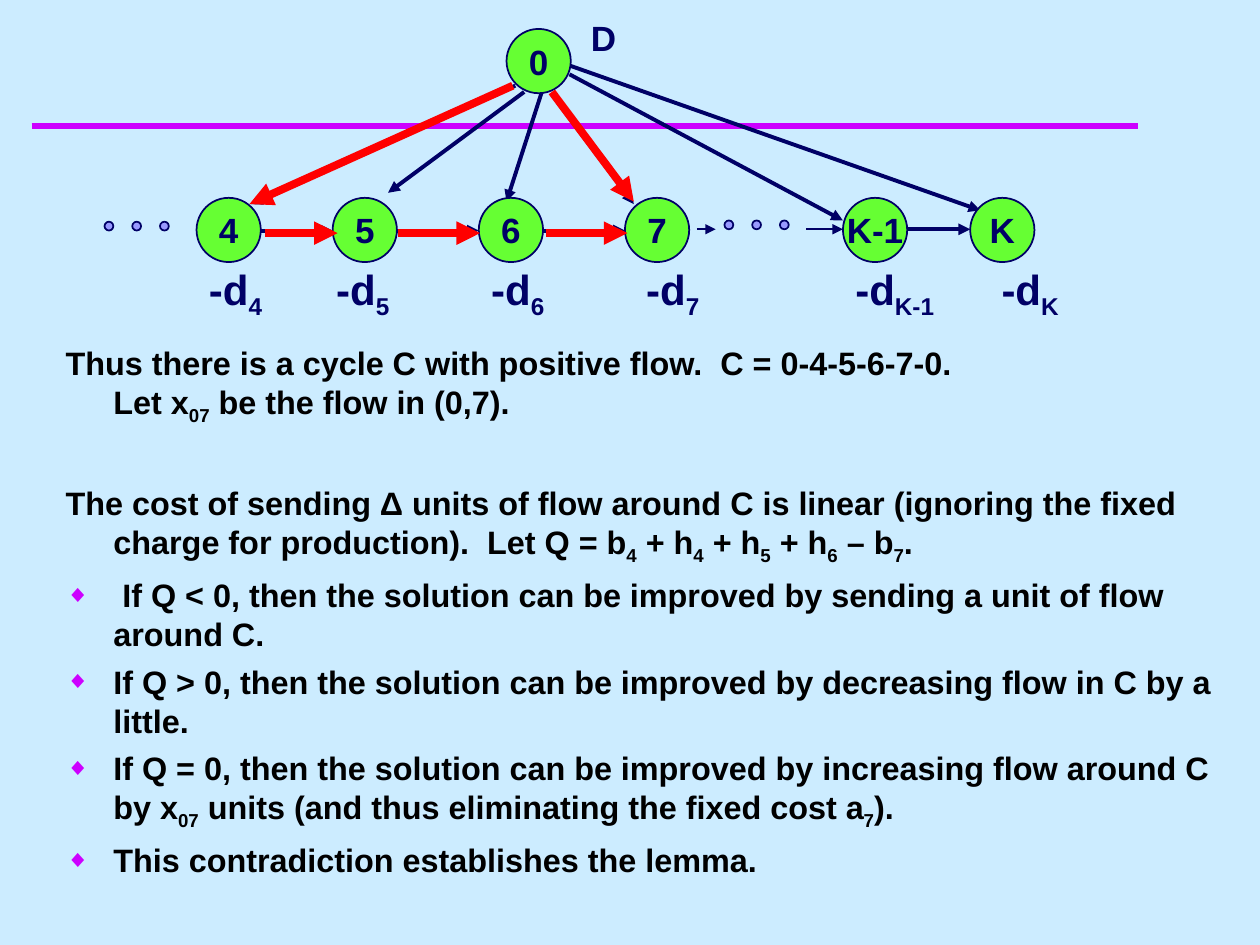
import pptx
import pptx.dml.color
import pptx.enum.shapes
import pptx.enum.text
import pptx.oxml
import pptx.oxml.ns
import pptx.util
from pptx.util import Inches

NAVY, RED, PURPLE, GREEN, LILAC, BLACK, SKY = (
    "000066", "FF0000", "CC00FF", "66FF33", "9999FF", "000000", "CCECFF")
NODE_SIZE = 0.51
NODE_TOP = 1.57
DOT_SIZE = 0.07
DOT_STEP = 0.22
LABEL_TOP = 2.04


def color(value):
    return pptx.dml.color.RGBColor.from_string(value)


def add_xml(parent, tag, **attributes):
    element = pptx.oxml.parse_xml(f"<{tag} {pptx.oxml.ns.nsdecls('a')}/>")
    for name, value in attributes.items():
        element.set(name, str(value))
    parent.append(element)
    return element


class SlideBuilder:
    """Holds the style and the current slide, and draws each kind of element."""

    font_name = "Arial"

    def __init__(self, slide):
        self.slide = slide
        slide.background.fill.solid()
        slide.background.fill.fore_color.rgb = color(SKY)

    def add_runs(self, paragraph, text, size, font_color):
        for index, piece in enumerate(text.split("|")):
            for line_index, line in enumerate(piece.split("\n")):
                if line_index:
                    paragraph.add_line_break()
                run = paragraph.add_run()
                run.text = line
                run.font.name = self.font_name
                run.font.size = pptx.util.Pt(size)
                run.font.bold = True
                run.font.color.rgb = color(font_color)
                if index % 2:
                    run.font._element.set("baseline", "-25000")

    def line(self, start, end, line_color=NAVY, width=2.25, arrow=True):
        connector = self.slide.shapes.add_connector(
            pptx.enum.shapes.MSO_CONNECTOR.STRAIGHT,
            *(Inches(value) for value in (*start, *end)))
        connector.line.color.rgb = color(line_color)
        connector.line.width = pptx.util.Pt(width)
        if arrow:
            add_xml(connector.line._get_or_add_ln(), "a:tailEnd", type="triangle")
        add_xml(connector._element.spPr, "a:effectLst")

    def circle(self, left, top, size, fill_color):
        shape = self.slide.shapes.add_shape(
            pptx.enum.shapes.MSO_SHAPE.OVAL,
            Inches(left), Inches(top), Inches(size), Inches(size))
        shape.shadow.inherit = False
        shape.fill.solid()
        shape.fill.fore_color.rgb = color(fill_color)
        shape.line.color.rgb = color(NAVY)
        shape.line.width = pptx.util.Pt(1)
        return shape

    def node(self, left, top, name):
        frame = self.circle(left, top, NODE_SIZE, GREEN).text_frame
        frame.word_wrap = False
        frame.vertical_anchor = pptx.enum.text.MSO_ANCHOR.MIDDLE
        frame.paragraphs[0].alignment = pptx.enum.text.PP_ALIGN.CENTER
        self.add_runs(frame.paragraphs[0], name, 20, NAVY)

    def dots(self, left, top):
        for index in range(3):
            self.circle(left + index * DOT_STEP, top, DOT_SIZE, LILAC)

    def label(self, left, top, width, height, text, size):
        box = self.slide.shapes.add_textbox(
            Inches(left), Inches(top), Inches(width), Inches(height))
        box.text_frame.word_wrap = True
        self.add_runs(box.text_frame.paragraphs[0], text, size, NAVY)

    def body(self, left, top, width, height, items):
        placeholder = self.slide.placeholders[1]
        placeholder.left, placeholder.top = Inches(left), Inches(top)
        placeholder.width, placeholder.height = Inches(width), Inches(height)
        frame = placeholder.text_frame
        frame.auto_size = pptx.enum.text.MSO_AUTO_SIZE.NONE
        for index, (bulleted, space_before, text) in enumerate(items):
            paragraph = frame.add_paragraph() if index else frame.paragraphs[0]
            paragraph.space_before = pptx.util.Pt(space_before)
            properties = paragraph._element.get_or_add_pPr()
            properties.set("marL", str(Inches(0.38)))
            properties.set("indent", str(Inches(-0.38)))
            if bulleted:
                bullet_color = add_xml(properties, "a:buClr")
                add_xml(bullet_color, "a:srgbClr", val=PURPLE)
                add_xml(properties, "a:buSzPct", val=75000)
                add_xml(properties, "a:buFont", typeface=self.font_name)
                add_xml(properties, "a:buChar", char="◆")
            else:
                add_xml(properties, "a:buNone")
            self.add_runs(paragraph, text, 18.5, BLACK)


def main():
    presentation = pptx.Presentation()
    presentation.slide_width, presentation.slide_height = Inches(10), Inches(7.5)
    slide = presentation.slides.add_slide(presentation.slide_layouts[1])
    title = slide.shapes.title._element
    title.getparent().remove(title)
    builder = SlideBuilder(slide)

    builder.line((0.25, 1), (9.03, 1), PURPLE, 4, arrow=False)
    builder.body(0.42, 2.67, 9.33, 4.5, [
        (False, 0, "Thus there is a cycle C with positive flow.  C = 0-4-5-6-7-0.\n"
                   "Let x|07| be the flow in (0,7)."),
        (False, 33, "The cost of sending Δ units of flow around C is linear (ignoring "
                    "the fixed charge for production).  Let Q = "
                    "b|4| + h|4| + h|5| + h|6| – b|7|."),
        (True, 5, " If Q < 0, then the solution can be improved by sending a unit "
                  "of flow around C."),
        (True, 5, "If Q > 0, then the solution can be improved by decreasing flow "
                  "in C by a little."),
        (True, 5, "If Q = 0, then the solution can be improved by increasing flow "
                  "around C by x|07| units (and thus eliminating the fixed cost a|7|)."),
        (True, 5, "This contradiction establishes the lemma."),
    ])

    for start, end in [((4.09, 0.68), (1.99, 1.62)), ((4.38, 0.75), (5.03, 1.62)),
                       ((4.16, 0.73), (3.08, 1.53)), ((4.3, 0.73), (4.02, 1.6)),
                       ((4.52, 0.59), (6.69, 1.75)), ((4.52, 0.52), (7.78, 1.67))]:
        builder.line(start, end)
    for start, end in [(2.06, 2.64), (3.15, 3.8), (4.3, 4.96)]:
        builder.line((start, 1.83), (end, 1.83))
    for start, end, width in [(5.53, 5.68, 1), (6.4, 6.69, 1), (7.2, 7.7, 2.25)]:
        builder.line((start, 1.82), (end, 1.82), width=width)

    builder.node(4.02, 0.23, "0")
    builder.label(4.59, 0.08, 0.65, 0.44, "D", 20)
    for name, node_left, label_left, label_width in [
            ("4", 1.56, 1.56, 0.65), ("5", 2.64, 2.57, 0.65),
            ("6", 3.8, 3.8, 0.65), ("7", 4.96, 5.03, 0.65),
            ("K-1", 6.69, 6.69, 1.06), ("K", 7.7, 7.85, 1.15)]:
        builder.node(node_left, NODE_TOP, name)
        builder.label(label_left, LABEL_TOP, label_width, 0.56, f"-d|{name}", 24)
    builder.dots(0.83, 1.76)
    builder.dots(5.75, 1.75)

    for start, end in [((4.07, 0.68), (1.98, 1.62)), ((4.38, 0.73), (5.03, 1.6)),
                       ((2.1, 1.85), (2.68, 1.85)), ((3.16, 1.85), (3.81, 1.85)),
                       ((4.33, 1.85), (4.98, 1.85))]:
        builder.line(start, end, RED, 4.5)

    presentation.save("out.pptx")


if __name__ == "__main__":
    main()
